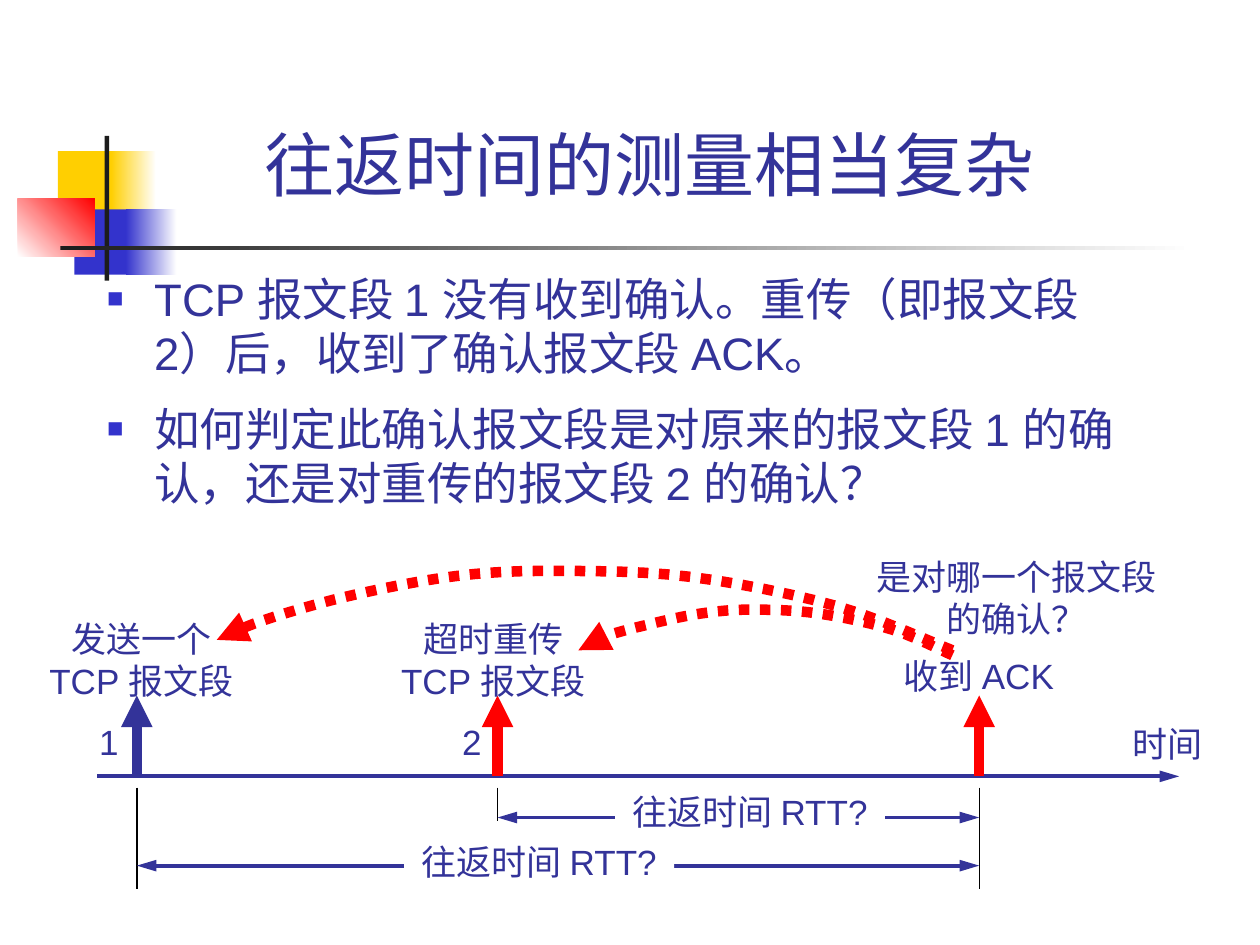
from typing import NamedTuple, Optional

from lxml.etree import SubElement as Sub
from pptx import Presentation
from pptx.dml.color import RGBColor
from pptx.enum.dml import MSO_LINE as Dash
from pptx.enum.shapes import MSO_CONNECTOR as Link, MSO_SHAPE as Kind
from pptx.enum.text import MSO_ANCHOR as Anchor, MSO_AUTO_SIZE as Fit, PP_ALIGN as Align
from pptx.oxml.ns import qn
from pptx.util import Cm, Pt

INK, RED, BLACK, WHITE = "333399", "FF0000", "000000", "FFFFFF"
GOLD, BLUE, DARK = "FFCF01", "3333CC", "1C1C1C"


class Block(NamedTuple):
    x: float
    y: float
    w: float
    h: float
    start: str
    end: Optional[str] = None
    angle: int = 0


class Label(NamedTuple):
    x: float
    y: float
    w: float
    lines: list[str]
    fill: Optional[str] = None


class Line(NamedTuple):
    x1: float
    y1: float
    x2: float
    y2: float
    color: str
    width: float
    ends: tuple = ()
    size: str = "lg"


def rgb(code: str) -> RGBColor:
    return RGBColor.from_string(code)


def add_ends(line, ends: tuple, size: str) -> None:
    for end in ends:
        Sub(line._get_or_add_ln(), qn(f"a:{end}"), type="triangle", w="med", len=size)


def draw_block(slide, b: Block) -> None:
    box = slide.shapes.add_shape(Kind.RECTANGLE, Cm(b.x), Cm(b.y), Cm(b.w), Cm(b.h))
    box.shadow.inherit = False
    box.line.fill.background()
    if b.end is None:
        box.fill.solid()
        box.fill.fore_color.rgb = rgb(b.start)
        return
    box.fill.gradient()
    box.fill.gradient_angle = b.angle
    for stop, code in zip(box.fill.gradient_stops, (b.start, b.end)):
        stop.color.rgb = rgb(code)


def draw_line(slide, l: Line) -> None:
    link = slide.shapes.add_connector(Link.STRAIGHT, Cm(l.x1), Cm(l.y1), Cm(l.x2), Cm(l.y2))
    link.line.color.rgb = rgb(l.color)
    link.line.width = Pt(l.width)
    add_ends(link.line, l.ends, l.size)
    Sub(link._element.spPr, qn("a:effectLst"))


def add_text(slide, x: float, y: float, w: float, h: float,
             lines: list[str], size: int, align=Align.CENTER):
    box = slide.shapes.add_textbox(Cm(x), Cm(y), Cm(w), Cm(h))
    frame = box.text_frame
    frame.word_wrap = True
    frame.text = "\n".join(lines)
    for para in frame.paragraphs:
        para.alignment = align
        if align == Align.LEFT:
            add_bullet(para)
        font = para.font
        font.size, font.name = Pt(size), "Arial"
        font.color.rgb = rgb(INK)
    return box


def add_bullet(para) -> None:
    props = para._p.get_or_add_pPr()
    props.set("marL", str(Cm(0.95)))
    props.set("indent", str(-Cm(0.95)))
    Sub(Sub(props, qn("a:buClr")), qn("a:srgbClr"), val=BLUE)
    Sub(props, qn("a:buSzPct"), val="60000")
    Sub(props, qn("a:buFont"), typeface="Arial")
    Sub(props, qn("a:buChar"), char="■")


def draw_label(slide, l: Label) -> None:
    high = 1.12 if len(l.lines) == 1 else 1.96
    box = add_text(slide, l.x, l.y, l.w, high, l.lines, 20)
    frame = box.text_frame
    frame.word_wrap = False
    frame.auto_size = Fit.SHAPE_TO_FIT_TEXT
    # Narrow side margins leave each line room to stay whole
    frame.margin_left = frame.margin_right = Cm(0.1)
    if l.fill:
        box.fill.solid()
        box.fill.fore_color.rgb = rgb(l.fill)


def smooth(knots: list[tuple], steps: int = 6) -> list[tuple]:
    """Points of a Catmull-Rom curve through the knots."""
    def mix(a: float, b: float, c: float, d: float, t: float) -> float:
        return b + t / 2 * (c - a + t * (2 * a - 5 * b + 4 * c - d
                                         + t * (3 * (b - c) + d - a)))

    pad = [knots[0], *knots, knots[-1]]
    spots = [tuple(mix(*axis, n / steps) for axis in zip(*pad[i:i + 4]))
             for i in range(len(knots) - 1) for n in range(steps)]
    return spots + [knots[-1]]


def draw_curve(slide, knots: list[tuple]) -> None:
    first, *rest = [(Cm(x), Cm(y)) for x, y in smooth(knots)]
    pen = slide.shapes.build_freeform(*first)
    pen.add_line_segments(rest, close=False)
    arc = pen.convert_to_shape()
    arc.shadow.inherit = False
    arc.fill.background()
    arc.line.color.rgb = rgb(RED)
    arc.line.width = Pt(6)
    arc.line.dash_style = Dash.ROUND_DOT
    add_ends(arc.line, ("tailEnd",), "med")


# Corner ornament
BLOCKS = [
    Block(1.17, 3.05, 1.22, 1.32, GOLD),
    Block(2.24, 3.05, 0.91, 1.32, GOLD, WHITE),
    Block(1.5, 4.22, 1.17, 1.32, BLUE),
    Block(2.54, 4.22, 1.02, 1.32, BLUE, WHITE),
    Block(0.36, 4.01, 1.55, 1.17, WHITE, RED, 45),
    Block(2.11, 2.74, 0.09, 2.92, DARK),
    Block(1.22, 4.95, 22.86, 0.09, DARK, WHITE),
]

# Time axis, events, ticks and spans
SEND, AGAIN, ACK = 2.76, 10.03, 19.74
AXIS, TICK = 15.65, 15.88
TAIL, BOTH = ("tailEnd",), ("headEnd", "tailEnd")
LINES = [
    Line(1.96, AXIS, 23.77, AXIS, INK, 2.25, TAIL),
    *[Line(x, AXIS, x, 14.02, c, 6, TAIL, "med")
      for x, c in ((SEND, INK), (AGAIN, RED), (ACK, RED))],
    *[Line(x, TICK, x, y, BLACK, 0.75)
      for x, y in ((SEND, 17.93), (AGAIN, 16.56), (ACK, 17.93))],
    *[Line(x, y, ACK, y, INK, 2.25, BOTH)
      for x, y in ((AGAIN, 16.48), (SEND, 17.45))],
]

LABELS = [
    Label(12.4, 15.82, 5.44, ["往返时间 RTT?"], WHITE),
    Label(8.15, 16.81, 5.44, ["往返时间 RTT?"], WHITE),
    Label(0.66, 12.32, 4.39, ["发送一个", "TCP 报文段"]),
    Label(7.75, 12.32, 4.39, ["超时重传", "TCP 报文段"]),
    Label(17.88, 13.06, 3.71, ["收到 ACK"]),
    Label(22.58, 14.45, 1.9, ["时间"]),
    Label(1.75, 14.4, 0.89, ["1"]),
    Label(9.07, 14.4, 0.89, ["2"]),
    Label(17.42, 11.07, 6.15, ["是对哪一个报文段", "的确认？"]),
]

CURVES = [
    [(19.2, 13.21), (18.01, 12.7), (16.51, 12.37), (15.16, 12.29),
     (14.12, 12.37), (13.03, 12.6), (12.14, 12.85), (11.66, 13.11)],
    [(19.2, 13.11), (16.87, 12.22), (13.92, 11.63), (11.25, 11.51),
     (9.22, 11.61), (7.06, 12.01), (5.33, 12.5), (4.37, 12.9)],
]

POINTS = [
    "TCP 报文段 1 没有收到确认。重传（即报文段 2）后，收到了确认报文段 ACK。",
    "如何判定此确认报文段是对原来的报文段 1 的确认，还是对重传的报文段 2 的确认？",
]


def main() -> None:
    deck = Presentation()
    deck.slide_width, deck.slide_height = Cm(25.4), Cm(19.05)
    slide = deck.slides.add_slide(deck.slide_layouts[6])
    for block in BLOCKS:
        draw_block(slide, block)

    # Title and bullet points
    title = add_text(slide, 3.05, 1.93, 20.09, 2.34, ["往返时间的测量相当复杂"], 40)
    title.text_frame.vertical_anchor = Anchor.BOTTOM
    body = add_text(slide, 1.91, 5.33, 21.59, 5.38, POINTS, 26, Align.LEFT)
    for para in body.text_frame.paragraphs[1:]:
        para.space_before = Pt(12)

    # Timing diagram
    for line in LINES:
        draw_line(slide, line)
    for label in LABELS:
        draw_label(slide, label)
    for knots in CURVES:
        draw_curve(slide, knots)
    deck.save("out.pptx")


if __name__ == "__main__":
    main()
